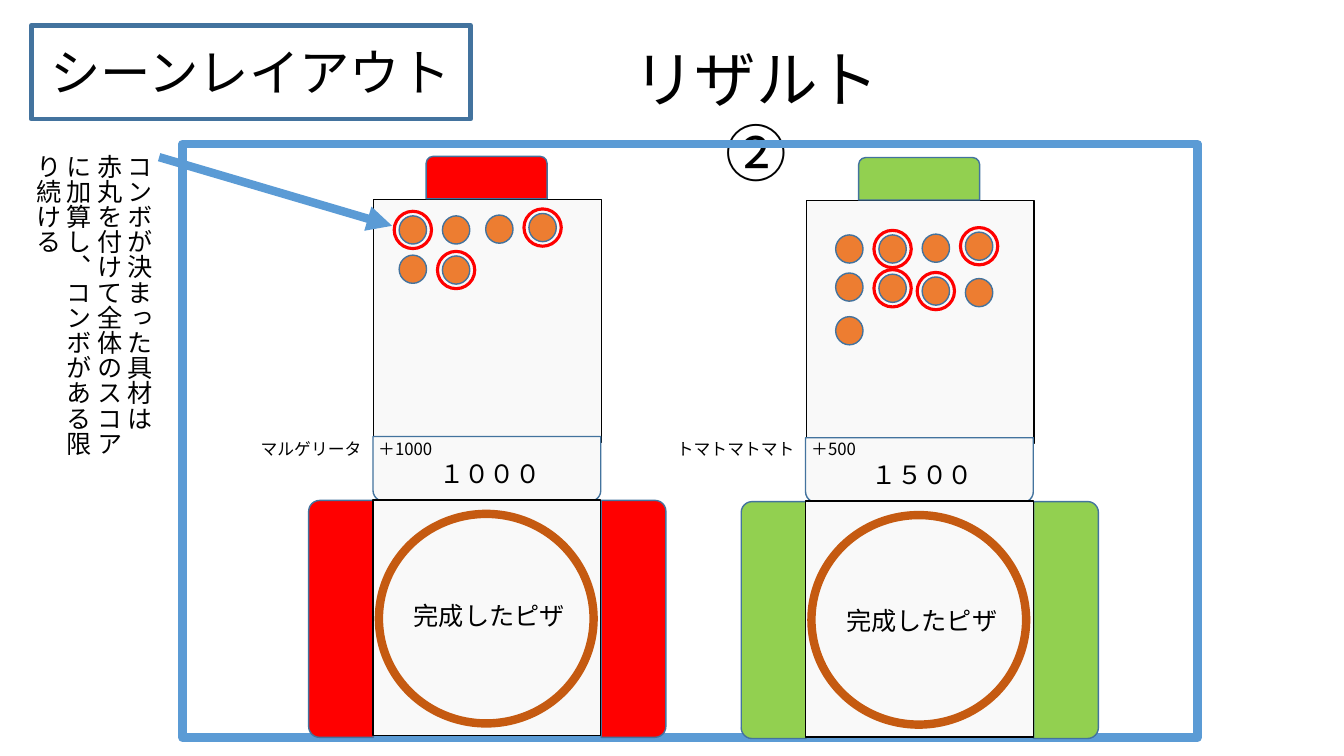
from dataclasses import dataclass

import pptx
import pptx.dml.color
import pptx.enum.shapes
import pptx.enum.text
import pptx.oxml
import pptx.oxml.ns
import pptx.util
from pptx.dml.color import RGBColor
from pptx.enum.shapes import MSO_SHAPE
from pptx.enum.text import MSO_ANCHOR, PP_ALIGN
from pptx.util import Cm, Pt

FONT = "Noto Sans CJK JP"
BLACK = RGBColor(0x00, 0x00, 0x00)
PAPER = RGBColor(0xF9, 0xF9, 0xF9)
RED = RGBColor(0xFF, 0x00, 0x00)
GREEN = RGBColor(0x92, 0xD0, 0x50)
ORANGE = RGBColor(0xED, 0x7D, 0x31)
BROWN = RGBColor(0xC5, 0x5A, 0x11)
BLUE = RGBColor(0x5B, 0x9B, 0xD5)
OUTLINE = RGBColor(0x43, 0x73, 0x9E)

TOPPING_WIDTH, TOPPING_HEIGHT, TOPPING_PITCH = 0.69, 0.71, 1.09
RING_SIZE = 0.94


@dataclass(frozen=True)
class Box:
    """A rectangle in centimetres."""
    left: float
    top: float
    width: float
    height: float

    def moved(self, right: float, down: float) -> "Box":
        return Box(self.left + right, self.top + down, self.width, self.height)

    def lengths(self) -> tuple:
        return Cm(self.left), Cm(self.top), Cm(self.width), Cm(self.height)


@dataclass(frozen=True)
class Part:
    """A piece of a player's panel, placed from the panel's left edge."""
    kind: MSO_SHAPE
    box: Box
    fill: RGBColor | None
    line: RGBColor = OUTLINE
    line_width: float = 1
    rotation: int = 0


@dataclass(frozen=True)
class Topping:
    column: int
    top: float
    combo: bool = False


@dataclass(frozen=True)
class Player:
    left: float
    down: float
    color: RGBColor
    score: str
    bonus: str
    bonus_left: float
    pizza_text_top: float
    toppings_left: float
    toppings: tuple[Topping, ...]


PLAYERS = (
    Player(9.4, 0, RED, "１０００", "マルゲリータ　＋1000", 6.32, 15.01, 10.06, (
        Topping(0, 5.44, True), Topping(1, 5.44), Topping(2, 5.42),
        Topping(3, 5.38, True), Topping(0, 6.43), Topping(1, 6.45, True))),
    Player(20.3, 0.03, GREEN, "１５００", "トマトマトマト　＋500", 16.81, 15.14, 21.06, (
        Topping(0, 5.92), Topping(1, 5.92, True), Topping(2, 5.9),
        Topping(3, 5.85, True), Topping(0, 6.88), Topping(1, 6.91, True),
        Topping(2, 6.98, True), Topping(3, 7.02), Topping(0, 7.98))),
)


def format_paragraph(paragraph, size: float, alignment: PP_ALIGN) -> None:
    paragraph.alignment = alignment
    paragraph.line_spacing = 1.0
    font = paragraph.font
    font.size = Pt(size)
    font.name = FONT
    font.color.rgb = BLACK
    east_asian = pptx.oxml.parse_xml(
        f'<a:ea {pptx.oxml.ns.nsdecls("a")} typeface="{FONT}"/>')
    paragraph._p.pPr.find(pptx.oxml.ns.qn("a:defRPr")).append(east_asian)


def fill_text(shape, lines: list[str], size: float,
              alignment: PP_ALIGN = PP_ALIGN.CENTER) -> None:
    frame = shape.text_frame
    frame.word_wrap = True
    frame.vertical_anchor = MSO_ANCHOR.TOP
    frame.text = "\n".join(lines)
    for paragraph in frame.paragraphs:
        format_paragraph(paragraph, size, alignment)


def add_text(slide, box: Box, lines: list[str], size: float,
             alignment: PP_ALIGN = PP_ALIGN.CENTER):
    shape = slide.shapes.add_textbox(*box.lengths())
    fill_text(shape, lines, size, alignment)
    return shape


def add_part(slide, part: Part, right: float = 0, down: float = 0) -> None:
    shape = slide.shapes.add_shape(part.kind, *part.box.moved(right, down).lengths())
    shape.shadow.inherit = False
    shape.rotation = part.rotation
    if part.fill is None:
        shape.fill.background()
    else:
        shape.fill.solid()
        shape.fill.fore_color.rgb = part.fill
    shape.line.color.rgb = part.line
    shape.line.width = Pt(part.line_width)


def add_topping(slide, topping: Topping, toppings_left: float) -> None:
    left = toppings_left + topping.column * TOPPING_PITCH
    dot = Box(left, topping.top, TOPPING_WIDTH, TOPPING_HEIGHT)
    add_part(slide, Part(MSO_SHAPE.OVAL, dot, ORANGE))
    if topping.combo:
        ring = Box(left - (RING_SIZE - TOPPING_WIDTH) / 2,
                   topping.top - (RING_SIZE - TOPPING_HEIGHT) / 2, RING_SIZE, RING_SIZE)
        add_part(slide, Part(MSO_SHAPE.OVAL, ring, None, RED, 2.25))


def add_player(slide, player: Player) -> None:
    rounded = MSO_SHAPE.ROUND_2_SAME_RECTANGLE
    parts = (
        Part(MSO_SHAPE.RECTANGLE, Box(0.02, 5.03, 5.74, 6.12), PAPER, BLACK),
        Part(rounded, Box(-3.79, 14.78, 5.97, 1.63), player.color, rotation=270),
        Part(rounded, Box(3.58, 14.78, 5.97, 1.63), player.color, rotation=90),
        Part(rounded, Box(0, 11, 5.74, 1.63), PAPER, rotation=180),
        Part(MSO_SHAPE.RECTANGLE, Box(0, 12.6, 5.74, 5.94), PAPER, BLACK),
        Part(rounded, Box(1.34, 3.94, 3.05, 1.07), player.color),
        Part(MSO_SHAPE.OVAL, Box(0.15, 12.95, 5.41, 5.28), None, BROWN, 6),
    )
    for part in parts:
        add_part(slide, part, player.left, player.down)
    add_text(slide, Box(player.left + 0.53, player.pizza_text_top, 4.8, 1.02),
             ["完成したピザ"], 18)
    add_text(slide, Box(player.left + 0.2, 11.43 + player.down, 5.49, 1.02),
             [player.score], 18)
    add_text(slide, Box(player.bonus_left, 10.92, 6.43, 0.76),
             [player.bonus], 12, PP_ALIGN.LEFT)
    for topping in player.toppings:
        add_topping(slide, topping, player.toppings_left)


def add_arrow(slide, start: tuple[float, float], end: tuple[float, float]) -> None:
    arrow = slide.shapes.add_connector(
        pptx.enum.shapes.MSO_CONNECTOR.STRAIGHT, *map(Cm, start + end))
    arrow.line.color.rgb = BLUE
    arrow.line.width = Pt(6)
    namespace = pptx.oxml.ns.nsdecls("a")
    arrow.line._get_or_add_ln().append(
        pptx.oxml.parse_xml(f'<a:tailEnd {namespace} type="triangle"/>'))
    arrow._element.spPr.append(pptx.oxml.parse_xml(f"<a:effectLst {namespace}/>"))


def main() -> None:
    presentation = pptx.Presentation()
    presentation.slide_width, presentation.slide_height = Cm(33.87), Cm(19.05)
    slide = presentation.slides.add_slide(presentation.slide_layouts[5])

    # Headings
    title = slide.shapes.title
    title.left, title.top, title.width, title.height = Box(15.65, 0.91, 6.83, 2.13).lengths()
    fill_text(title, ["リザルト②"], 44)
    title.text_frame.auto_size = pptx.enum.text.MSO_AUTO_SIZE.NONE
    add_part(slide, Part(MSO_SHAPE.RECTANGLE, Box(0.79, 0.64, 11.07, 2.36), None, OUTLINE, 3.5))
    add_text(slide, Box(0.94, 0.91, 10.74, 1.8), ["シーンレイアウト"], 36)

    # Game screen with both players
    add_part(slide, Part(MSO_SHAPE.RECTANGLE, Box(4.6, 3.63, 25.58, 14.96), None, BLUE, 6))
    for player in PLAYERS:
        add_player(slide, player)

    # Note on combos
    add_arrow(slide, (4.01, 3.96), (9.88, 5.69))
    note = add_text(slide, Box(0.43, 3.63, 3.58, 8.15),
                    ["コンボが決まった具材は",
                     "赤丸を付けて全体のスコアに加算し、コンボがある限り続ける"],
                    18, PP_ALIGN.LEFT)
    note.text_frame._txBody.bodyPr.set("vert", "eaVert")

    presentation.save("out.pptx")


if __name__ == "__main__":
    main()
